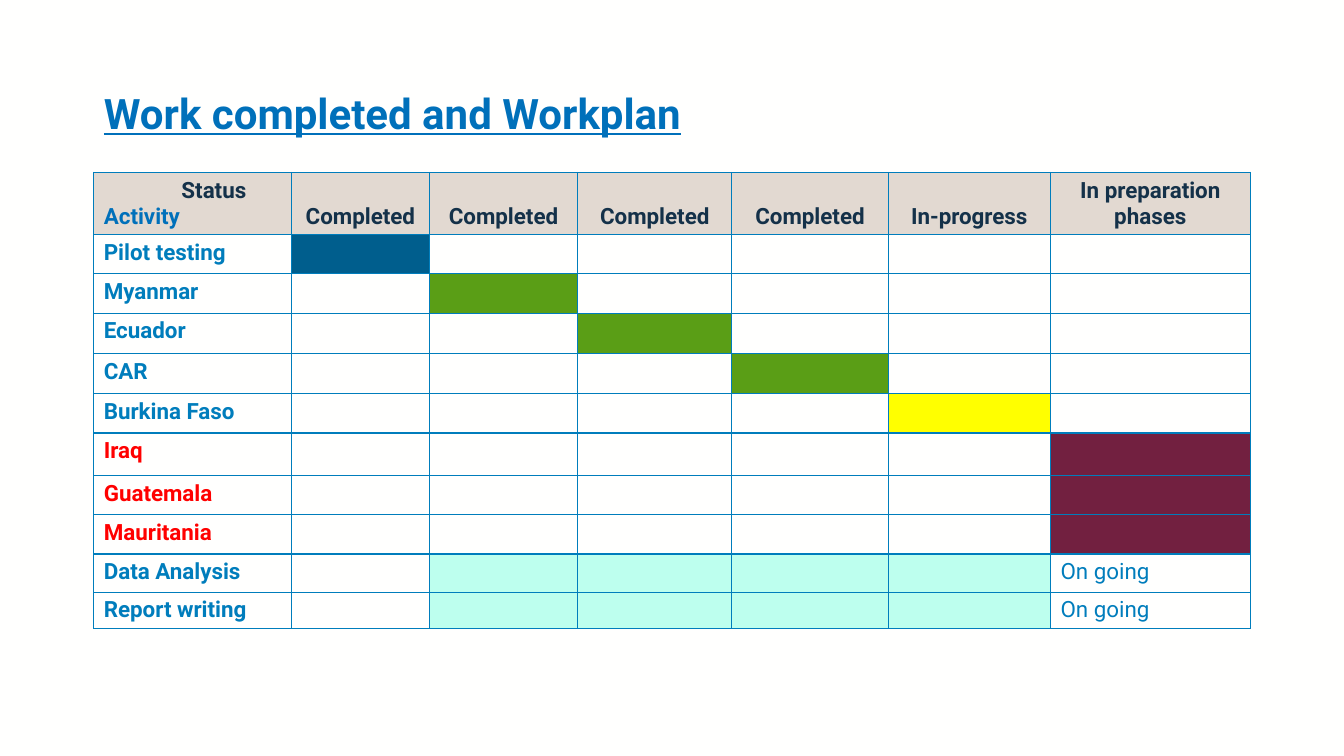
from lxml import etree
from pptx import Presentation
from pptx.dml.color import RGBColor
from pptx.enum.text import MSO_ANCHOR, PP_ALIGN
from pptx.oxml.ns import qn
from pptx.util import Inches, Pt

LEFT, MID = PP_ALIGN.LEFT, PP_ALIGN.CENTER
TOP, CENTER, LOW = MSO_ANCHOR.TOP, MSO_ANCHOR.MIDDLE, MSO_ANCHOR.BOTTOM

PAPER = RGBColor(0xFF, 0xFF, 0xFE)
TITLE = RGBColor(0x00, 0x70, 0xBA)
BLUE = RGBColor(0x00, 0x7D, 0xBC)
NAVY = RGBColor(0x14, 0x31, 0x49)
RED = RGBColor(0xFF, 0x00, 0x00)
SAND = RGBColor(0xE2, 0xD9, 0xD1)
DEEP = RGBColor(0x00, 0x5E, 0x8D)
GREEN = RGBColor(0x5A, 0x9E, 0x16)
YELLOW = RGBColor(0xFF, 0xFF, 0x00)
WINE = RGBColor(0x72, 0x20, 0x40)
MINT = RGBColor(0xBD, 0xFF, 0xEE)

COLS = [1.96, 1.37, 1.47, 1.53, 1.55, 1.61, 1.98]
ROWS = [0.59, 0.39, 0.39, 0.4, 0.4, 0.39, 0.42, 0.39, 0.39, 0.38, 0.36]
HEADS = ["Status\nActivity"] + ["Completed"] * 4 + ["In-progress", "In preparation phases"]
# Activity, text colour, filled columns, fill colour, text in the last column
PLAN = [
    ("Pilot testing", BLUE, [1], DEEP, ""),
    ("Myanmar", BLUE, [2], GREEN, ""),
    ("Ecuador", BLUE, [3], GREEN, ""),
    ("CAR", BLUE, [4], GREEN, ""),
    ("Burkina Faso", BLUE, [5], YELLOW, ""),
    ("Iraq", RED, [6], WINE, ""),
    ("Guatemala", RED, [6], WINE, ""),
    ("Mauritania", RED, [6], WINE, ""),
    ("Data Analysis", BLUE, range(2, 6), MINT, "On going"),
    ("Report writing", BLUE, range(2, 6), MINT, "On going"),
]


class Deck:
    font = "Roboto"
    size = 16

    def __init__(self):
        self.prs = Presentation()
        self.prs.slide_width = Inches(13.33)
        self.prs.slide_height = Inches(7.5)
        self.slide = self.prs.slides.add_slide(self.prs.slide_layouts[5])
        fill = self.slide.background.fill
        fill.solid()
        fill.fore_color.rgb = PAPER

    def style(self, run, size, color, bold):
        run.font.name = self.font
        run.font.size = Pt(size)
        run.font.bold = bold
        run.font.color.rgb = color

    def title(self, text, x, y, w, h):
        box = self.slide.shapes.title
        box.left, box.top, box.width, box.height = map(Inches, (x, y, w, h))
        frame = box.text_frame
        frame.text = text
        frame.word_wrap = True
        frame.vertical_anchor = CENTER
        para = frame.paragraphs[0]
        para.alignment = LEFT
        para.line_spacing = 0.9
        self.style(para.runs[0], 30, TITLE, True)
        para.runs[0].font.underline = True

    def table(self, x, y, cols, rows):
        frame = self.slide.shapes.add_table(
            len(rows), len(cols), Inches(x), Inches(y),
            Inches(sum(cols)), Inches(sum(rows)))
        table = frame.table
        table.first_row = table.horz_banding = False
        for col, w in zip(table.columns, cols):
            col.width = Inches(w)
        for row, h in zip(table.rows, rows):
            row.height = Inches(h)
        return table

    def cell(self, cell, text="", color=BLUE, fill=None, bold=True,
             align=LEFT, anchor=TOP):
        cell.text_frame.text = text
        cell.vertical_anchor = anchor
        for para in cell.text_frame.paragraphs:
            para.alignment = align
            for run in para.runs:
                self.style(run, self.size, color, bold)
        if not text:
            # An empty cell keeps the table's text size, so its row stays low
            end = etree.SubElement(cell.text_frame.paragraphs[0]._p, qn("a:endParaRPr"))
            end.set("sz", str(self.size * 100))
            etree.SubElement(end, qn("a:latin")).set("typeface", self.font)
        if fill is None:
            cell.fill.background()
        else:
            cell.fill.solid()
            cell.fill.fore_color.rgb = fill
        self.border(cell)

    def border(self, cell):
        props = cell._tc.get_or_add_tcPr()
        for i, side in enumerate("LRTB"):
            line = etree.Element(qn("a:ln" + side), w=str(Pt(1)))
            paint = etree.SubElement(line, qn("a:solidFill"))
            etree.SubElement(paint, qn("a:srgbClr")).set("val", str(BLUE))
            props.insert(i, line)


def main():
    deck = Deck()
    deck.title("Work completed and Workplan", 0.93, 0.79, 11.29, 0.72)
    table = deck.table(0.93, 1.71, COLS, ROWS)

    for c, head in enumerate(HEADS):
        align, anchor = (MID, LOW) if c else (LEFT, TOP)
        deck.cell(table.cell(0, c), head, NAVY, SAND, align=align, anchor=anchor)
    status, label = table.cell(0, 0).text_frame.paragraphs
    status._p.get_or_add_pPr().set("marL", str(Inches(0.77)))
    label.runs[0].font.color.rgb = TITLE

    last = len(COLS) - 1
    for r, (name, color, done, fill, note) in enumerate(PLAN, 1):
        deck.cell(table.cell(r, 0), name, color)
        for c in range(1, len(COLS)):
            deck.cell(table.cell(r, c), note if c == last else "",
                      fill=fill if c in done else None, bold=False)
    deck.prs.save("out.pptx")


if __name__ == "__main__":
    main()
